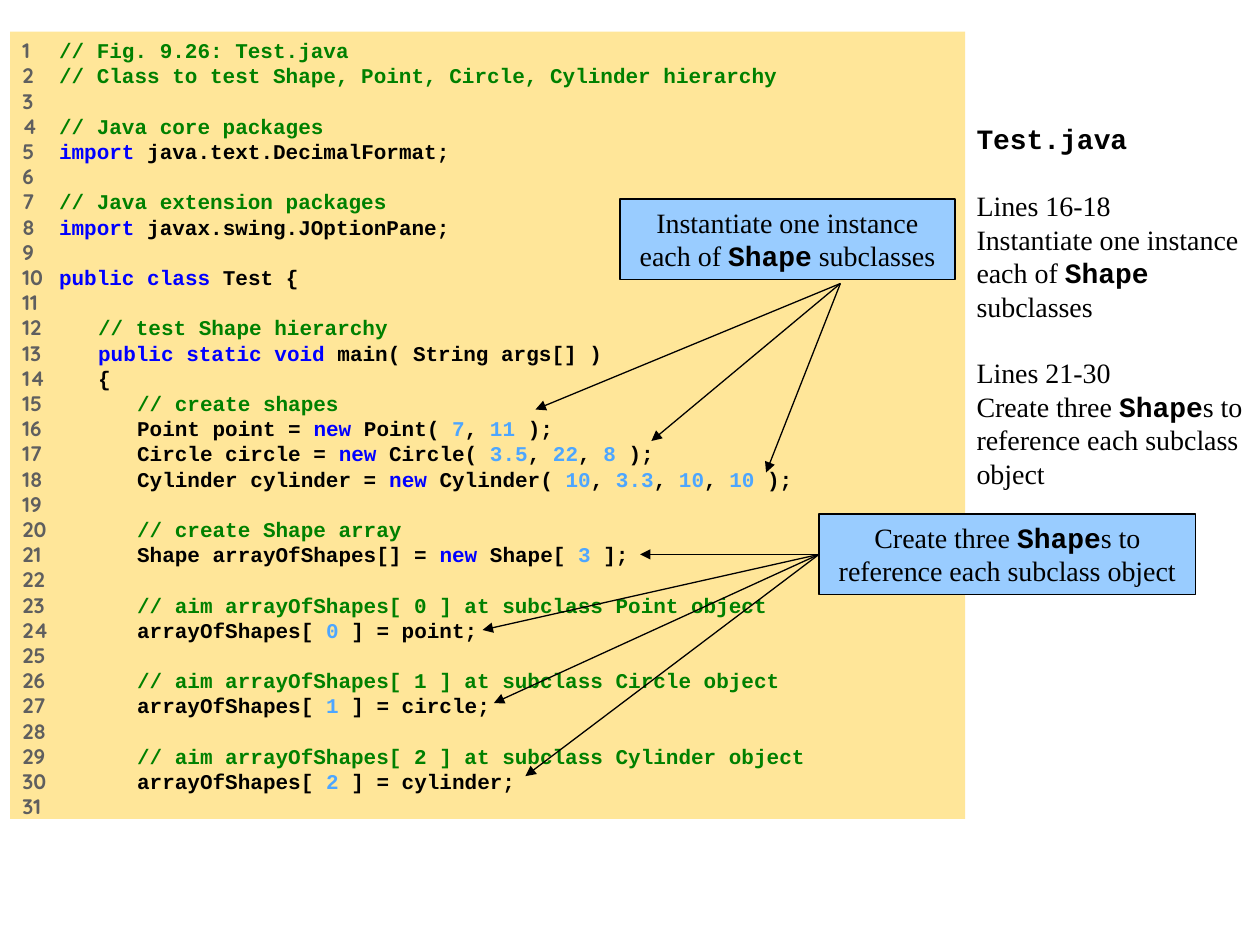
from itertools import groupby
from lxml import etree
from pptx import Presentation
from pptx.dml.color import RGBColor
from pptx.enum.shapes import MSO_CONNECTOR as Connector, MSO_SHAPE as Preset
from pptx.enum.text import MSO_ANCHOR as Anchor, PP_ALIGN as Align
from pptx.oxml.ns import qn
from pptx.util import Inches, Pt

CODE = [
    "// Fig. 9.26: Test.java",
    "// Class to test Shape, Point, Circle, Cylinder hierarchy",
    "",
    "// Java core packages",
    "import java.text.DecimalFormat;",
    "",
    "// Java extension packages",
    "import javax.swing.JOptionPane;",
    "",
    "public class Test {",
    "",
    "   // test Shape hierarchy",
    "   public static void main( String args[] )",
    "   {",
    "      // create shapes",
    "      Point point = new Point( 7, 11 );",
    "      Circle circle = new Circle( 3.5, 22, 8 );",
    "      Cylinder cylinder = new Cylinder( 10, 3.3, 10, 10 );",
    "",
    "      // create Shape array",
    "      Shape arrayOfShapes[] = new Shape[ 3 ];",
    "",
    "      // aim arrayOfShapes[ 0 ] at subclass Point object",
    "      arrayOfShapes[ 0 ] = point;",
    "",
    "      // aim arrayOfShapes[ 1 ] at subclass Circle object",
    "      arrayOfShapes[ 1 ] = circle;",
    "",
    "      // aim arrayOfShapes[ 2 ] at subclass Cylinder object",
    "      arrayOfShapes[ 2 ] = cylinder;",
    "",
]
CODE_BOX = (0.08, 0.25, 7.58, 6.25)
KEYWORDS = {"import", "public", "class", "static", "void", "new"}
BLACK, GREEN, BLUE, SKY, GRAY = "000000", "008000", "0000FF", "4DA6FF", "5F5F5F"
MONO, SERIF, NUMBER_FONT = "Courier New", "Times New Roman", "Quicksand"
CODE_START, INDENT_STEP = 0.29, 0.31
CODE_PITCH, NOTE_PITCH = Pt(14.4), Pt(19.1)

NOTES_BOX = (7.75, 0.92, 2.25, 6)
NOTES = [
    ("`Test.java`", 0),
    ("Lines 16-18", NOTE_PITCH),
    ("Instantiate one instance each of `Shape` subclasses", 0),
    ("Lines 21-30", NOTE_PITCH),
    ("Create three `Shape`s to reference each subclass object", 0),
]
CALLOUTS = [
    {"text": "Instantiate one instance each of `Shape` subclasses",
     "box": (4.92, 1.58, 2.66, 0.64), "start": (6.67, 2.25), "joined": False,
     "targets": [(4.25, 3.25), (5.17, 3.5), (6.08, 3.75)]},
    {"text": "Create three `Shape`s to reference each subclass object",
     "box": (6.5, 4.08, 2.99, 0.64), "start": (6.5, 4.4), "joined": True,
     "targets": [(5.08, 4.4), (3.83, 5), (3.92, 5.58), (4.17, 6.16)]},
]
FRAME_FORMAT = {
    "word_wrap": True, "vertical_anchor": Anchor.TOP,
    "margin_left": Inches(0.1), "margin_right": Inches(0.1),
    "margin_top": Inches(0.05), "margin_bottom": Inches(0.05),
}


def color(value):
    return RGBColor.from_string(value)


def apply(target, values):
    for name, value in values.items():
        setattr(target, name, value)


def add_run(paragraph, text, font, size, fill, bold):
    run = paragraph.add_run()
    run.text = text
    apply(run.font, {"name": font, "size": Pt(size), "bold": bold})
    run.font.color.rgb = color(fill)


def add_marked_text(paragraph, text):
    for index, part in enumerate(text.split("`")):
        mono = index % 2 == 1
        if part:
            add_run(paragraph, part, MONO if mono else SERIF, 16, BLACK, mono)


def next_paragraph(frame, index):
    return frame.add_paragraph() if index else frame.paragraphs[0]


def add_box(slide, box, fill, outline=None):
    shape = slide.shapes.add_shape(Preset.RECTANGLE, *map(Inches, box))
    shape.shadow.inherit = False
    shape.fill.solid()
    shape.fill.fore_color.rgb = color(fill)
    if outline:
        shape.line.color.rgb = color(outline)
        shape.line.width = Pt(0.75)
    else:
        shape.line.fill.background()
    apply(shape.text_frame, FRAME_FORMAT)
    return shape


def token_colors(line):
    if line.startswith("//"):
        return [(line, GREEN)]
    tokens = []
    for index, word in enumerate(line.split(" ")):
        if index:
            tokens.append((" ", BLACK))
        core = word.rstrip(",")
        if core in KEYWORDS:
            tokens.append((word, BLUE))
        elif core.replace(".", "").isdigit():
            tokens += [(core, SKY), (word[len(core):], BLACK)]
        else:
            tokens.append((word, BLACK))
    return tokens


def add_tab_stop(paragraph, position):
    properties = paragraph._p.get_or_add_pPr()
    tabs = etree.SubElement(properties, qn("a:tabLst"))
    etree.SubElement(tabs, qn("a:tab"), pos=str(Inches(position)), algn="l")


def add_code(slide):
    frame = add_box(slide, CODE_BOX, "FFE699").text_frame
    for index, line in enumerate(CODE):
        code = line.lstrip()
        level = (len(line) - len(code)) // 3
        paragraph = next_paragraph(frame, index)
        apply(paragraph, {"alignment": Align.LEFT, "line_spacing": CODE_PITCH})
        number = str(index + 1)
        if code:
            add_tab_stop(paragraph, CODE_START + level * INDENT_STEP)
            number += "\t"
        add_run(paragraph, number, NUMBER_FONT, 12, GRAY, True)
        for fill, tokens in groupby(token_colors(code), key=lambda token: token[1]):
            text = "".join(token[0] for token in tokens)
            if text:
                add_run(paragraph, text, MONO, 12, fill, True)


def add_notes(slide):
    frame = slide.shapes.add_textbox(*map(Inches, NOTES_BOX)).text_frame
    apply(frame, {**FRAME_FORMAT, "margin_left": 0})
    for index, (text, gap) in enumerate(NOTES):
        paragraph = next_paragraph(frame, index)
        apply(paragraph, {"line_spacing": NOTE_PITCH, "space_before": gap})
        add_marked_text(paragraph, text)


def add_arrow(slide, start, end):
    arrow = slide.shapes.add_connector(Connector.STRAIGHT, *map(Inches, start + end))
    arrow.line.color.rgb = color(BLACK)
    arrow.line.width = Pt(0.75)
    etree.SubElement(arrow.line._get_or_add_ln(), qn("a:tailEnd"), type="triangle")
    etree.SubElement(arrow._element.spPr, qn("a:effectLst"))
    return arrow


def add_callout(slide, callout):
    shape = add_box(slide, callout["box"], "99CCFF", BLACK)
    paragraph = shape.text_frame.paragraphs[0]
    apply(paragraph, {"alignment": Align.CENTER, "line_spacing": NOTE_PITCH})
    add_marked_text(paragraph, callout["text"])
    for target in callout["targets"]:
        arrow = add_arrow(slide, callout["start"], target)
        if callout["joined"]:
            arrow.begin_connect(shape, 1)


def main():
    presentation = Presentation()
    apply(presentation, {"slide_width": Inches(10), "slide_height": Inches(7.5)})
    slide = presentation.slides.add_slide(presentation.slide_layouts[6])
    add_notes(slide)
    add_code(slide)
    for callout in CALLOUTS:
        add_callout(slide, callout)
    presentation.save("out.pptx")


if __name__ == "__main__":
    main()
